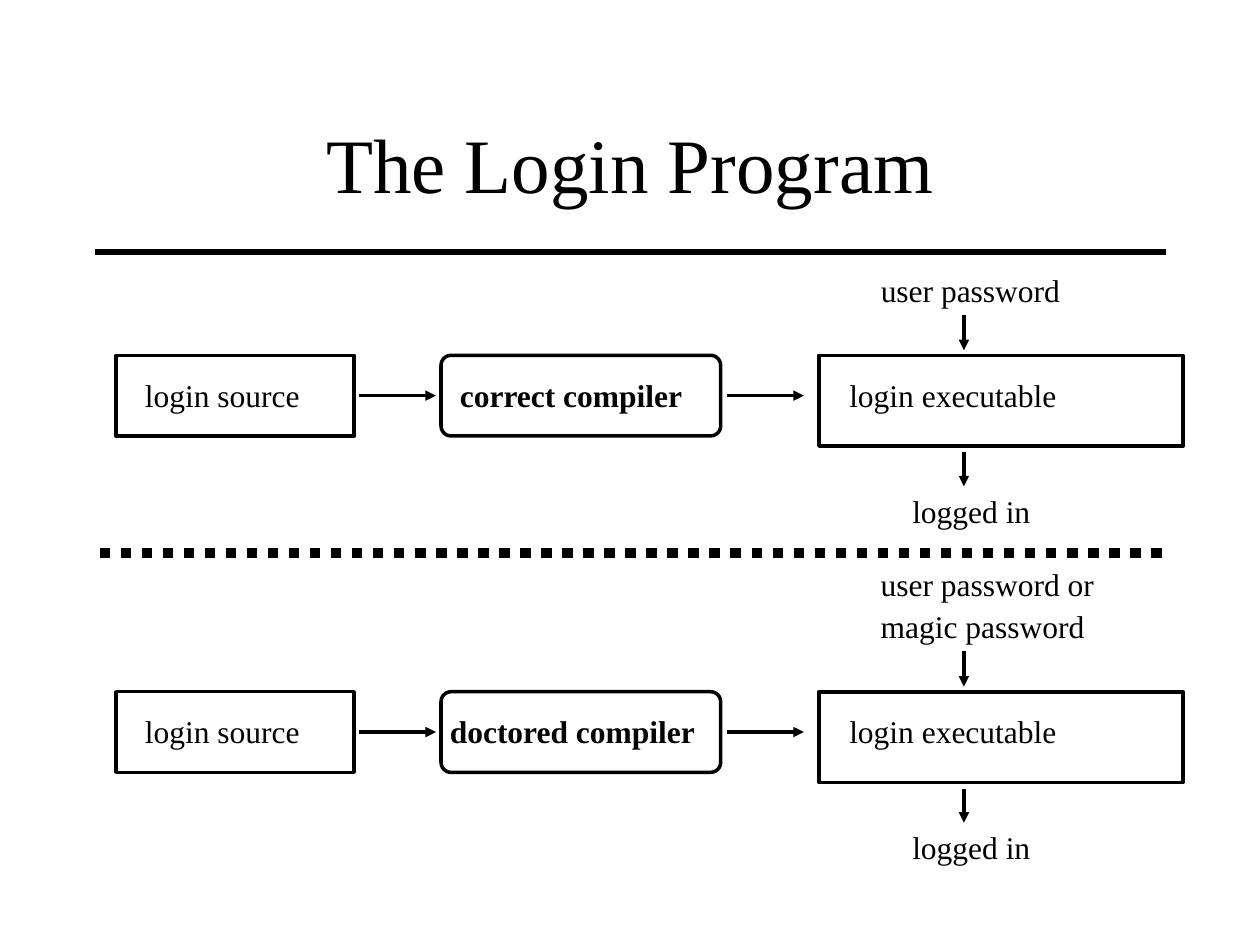
"""Build the slide that compares a correct and a doctored login compiler."""
from dataclasses import dataclass

from lxml import etree
from pptx import Presentation
from pptx.dml.color import RGBColor
from pptx.enum.dml import MSO_LINE
from pptx.enum.shapes import MSO_CONNECTOR, MSO_SHAPE
from pptx.enum.text import MSO_ANCHOR, MSO_AUTO_SIZE, PP_ALIGN
from pptx.oxml.ns import qn
from pptx.util import Inches, Pt

RECT, ROUND = MSO_SHAPE.RECTANGLE, MSO_SHAPE.ROUNDED_RECTANGLE
LINE, DOT = MSO_CONNECTOR.STRAIGHT, MSO_LINE.ROUND_DOT
MIDDLE, CENTER = MSO_ANCHOR.MIDDLE, PP_ALIGN.CENTER
FIT, FIXED = MSO_AUTO_SIZE.SHAPE_TO_FIT_TEXT, MSO_AUTO_SIZE.NONE
INK = "000000"
FACE = "Times New Roman"
STEP = 2.67


@dataclass
class Box:
    kind: int
    left: float
    width: float
    height: float


@dataclass
class Label:
    text: str
    left: float
    top: float
    width: float
    bold: bool = False


@dataclass
class Stroke:
    start: tuple[float, float]
    end: tuple[float, float]
    width: float = 2
    arrow: bool = True


BOXES = [
    Box(RECT, 0.92, 1.89, 0.64),
    Box(ROUND, 3.5, 2.22, 0.64),
    Box(RECT, 6.5, 2.89, 0.72),
]
ARROWS = [
    Stroke((2.85, 3.14), (3.46, 3.14)),
    Stroke((5.77, 3.14), (6.38, 3.14)),
    Stroke((7.65, 2.5), (7.65, 2.78)),
    Stroke((7.65, 3.59), (7.65, 3.86)),
]
SHARED = [
    Label("login source", 1.08, 3, 1.4),
    Label("login executable", 6.67, 3, 1.85),
    Label("logged in", 7.17, 3.92, 1.12),
]
ROWS = [
    [
        Label("correct compiler", 3.58, 3, 1.95, True),
        Label("user password", 6.92, 2.17, 1.65),
    ],
    [
        Label("doctored compiler", 3.5, 3, 2.15, True),
        Label("user password or", 6.92, 1.83, 1.9),
        Label("magic password", 6.92, 2.16, 1.8),
    ],
]


def color(code: str) -> RGBColor:
    return RGBColor.from_string(code)


def style(item, values: dict) -> None:
    for name, value in values.items():
        setattr(item, name, value)


def set_font(font, size: float, bold: bool = False) -> None:
    style(font, {"name": FACE, "size": Pt(size), "bold": bold})
    font.color.rgb = color(INK)


def draw_box(slide, box: Box, shift: float) -> None:
    shape = slide.shapes.add_shape(
        box.kind, Inches(box.left), Inches(2.82 + shift),
        Inches(box.width), Inches(box.height))
    shape.shadow.inherit = False
    shape.fill.background()
    shape.line.color.rgb = color(INK)
    shape.line.width = Pt(2)
    if box.kind == ROUND:
        shape.adjustments[0] = 0.125


def draw_label(slide, label: Label, shift: float) -> None:
    area = slide.shapes.add_textbox(
        Inches(label.left), Inches(label.top + shift),
        Inches(label.width), Inches(0.31))
    frame = area.text_frame
    side, edge = Inches(0.07), Inches(0.03)
    style(frame, {
        "margin_left": side, "margin_right": side,
        "margin_top": edge, "margin_bottom": edge,
        "word_wrap": False, "auto_size": FIT,
    })
    para = frame.paragraphs[0]
    para.line_spacing = 0.85
    run = para.add_run()
    run.text = label.text
    set_font(run.font, 18, label.bold)


def draw_line(slide, stroke: Stroke, shift: float = 0):
    (left, top), (right, low) = stroke.start, stroke.end
    line = slide.shapes.add_connector(
        LINE, Inches(left), Inches(top + shift),
        Inches(right), Inches(low + shift))
    line.line.color.rgb = color(INK)
    line.line.width = Pt(stroke.width)
    props = line._element.spPr
    if stroke.arrow:
        tail = etree.SubElement(props.find(qn("a:ln")), qn("a:tailEnd"))
        tail.set("type", "triangle")
    etree.SubElement(props, qn("a:effectLst"))
    return line


def draw_title(slide, text: str) -> None:
    title = slide.shapes.title
    style(title, {
        "left": Inches(0.75), "top": Inches(0.67),
        "width": Inches(8.5), "height": Inches(1.25),
    })
    frame = title.text_frame
    frame.text = text
    style(frame, {
        "vertical_anchor": MIDDLE, "word_wrap": True, "auto_size": FIXED,
    })
    para = frame.paragraphs[0]
    para.alignment = CENTER
    set_font(para.runs[0].font, 44)


def main() -> None:
    deck = Presentation()
    style(deck, {"slide_width": Inches(10), "slide_height": Inches(7.5)})
    slide = deck.slides.add_slide(deck.slide_layouts[5])
    draw_title(slide, "The Login Program")
    draw_line(slide, Stroke((0.75, 2), (9.25, 2), 3, False))
    for index, extra in enumerate(ROWS):
        shift = index * STEP
        for box in BOXES:
            draw_box(slide, box, shift)
        for label in SHARED + extra:
            draw_label(slide, label, shift)
        for arrow in ARROWS:
            draw_line(slide, arrow, shift)
    split = draw_line(slide, Stroke((0.79, 4.39), (9.26, 4.39), 6, False))
    split.line.dash_style = DOT
    deck.save("out.pptx")


if __name__ == "__main__":
    main()
